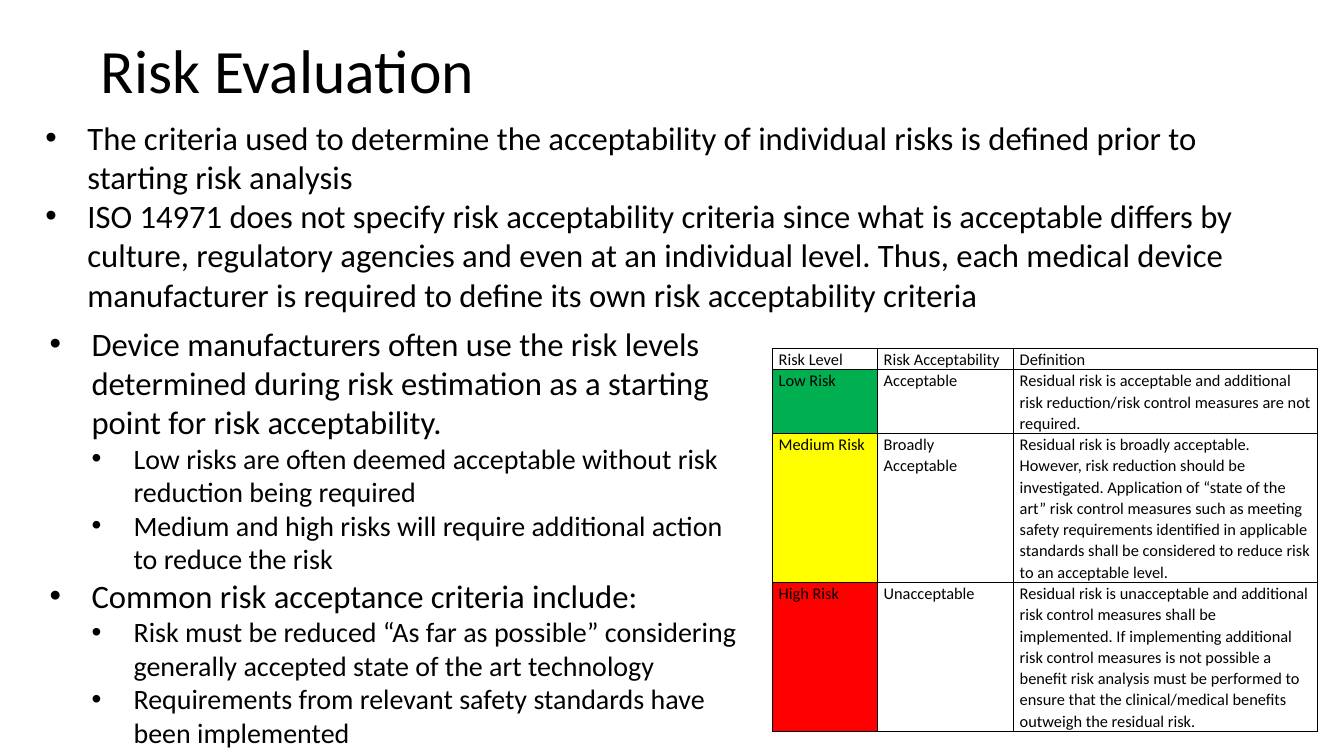
from dataclasses import dataclass

from lxml.etree import SubElement
from pptx import Presentation
from pptx.dml.color import RGBColor
from pptx.enum.text import MSO_ANCHOR, MSO_AUTO_SIZE, PP_ALIGN
from pptx.oxml.ns import qn
from pptx.util import Inches, Pt

COLUMNS, ROWS = 16, 9  # grid cells of one inch
FONT = "Calibri"
COLORS = {"text": "000000", "plain": "FFFFFF", "low": "00B050",
          "medium": "FFFF00", "high": "FF0000"}
LEVEL_SIZES = (28, 24)
TABLE_COLUMNS = (1.25, 1.62, 3.62)
TABLE_ROWS = (0.25, 0.75, 1.75, 1.75)


@dataclass
class Area:
    column: float
    row: float
    columns: float
    rows: float

    def lengths(self) -> tuple:
        return tuple(Inches(n) for n in (self.column, self.row, self.columns, self.rows))


@dataclass
class Bullet:
    text: str
    level: int = 0


@dataclass
class RiskRow:
    level: str
    acceptability: str
    definition: str
    color: str = "plain"


TITLE_AREA = Area(1.1, 0, 13.8, 1.74)
CRITERIA_AREA = Area(0.44, 1.35, 14.83, 2.46)
LEVELS_AREA = Area(0.49, 3.8, 8.46, 5.22)
TABLE_AREA = Area(9.2, 4.15, sum(TABLE_COLUMNS), sum(TABLE_ROWS))

CRITERIA = [
    Bullet("The criteria used to determine the acceptability of individual risks is "
           "defined prior to starting risk analysis"),
    Bullet("ISO 14971 does not specify risk acceptability criteria since what is "
           "acceptable differs by culture, regulatory agencies and even at an individual "
           "level. Thus, each medical device manufacturer is required to define its own "
           "risk acceptability criteria"),
]
LEVELS = [
    Bullet("Device manufacturers often use the risk levels determined during risk "
           "estimation as a starting point for risk acceptability."),
    Bullet("Low risks are often deemed acceptable without risk reduction being required", 1),
    Bullet("Medium and high risks will require additional action to reduce the risk", 1),
    Bullet("Common risk acceptance criteria include:"),
    Bullet("Risk must be reduced “As far as possible” considering generally accepted "
           "state of the art technology", 1),
    Bullet("Requirements from relevant safety standards have been implemented", 1),
]
RISKS = [
    RiskRow("Risk Level", "Risk Acceptability", "Definition"),
    RiskRow("Low Risk", "Acceptable",
            "Residual risk is acceptable and additional risk reduction/risk control "
            "measures are not required.", "low"),
    RiskRow("Medium Risk", "Broadly Acceptable",
            "Residual risk is broadly acceptable. However, risk reduction should be "
            "investigated. Application of “state of the art” risk control measures such "
            "as meeting safety requirements identified in applicable standards shall be "
            "considered to reduce risk to an acceptable level.", "medium"),
    RiskRow("High Risk", "Unacceptable",
            "Residual risk is unacceptable and additional risk control measures shall be "
            "implemented. If implementing additional risk control measures is not possible "
            "a benefit risk analysis must be performed to ensure that the clinical/medical "
            "benefits outweigh the residual risk.", "high"),
]


def rgb(name: str) -> RGBColor:
    return RGBColor.from_string(COLORS[name])


def place(shape, area: Area) -> None:
    shape.left, shape.top, shape.width, shape.height = area.lengths()


def format_runs(paragraph, size: float) -> None:
    for run in paragraph.runs:
        run.font.name = FONT
        run.font.size = Pt(size)
        run.font.color.rgb = rgb("text")


def fill_title(title, text: str) -> None:
    place(title, TITLE_AREA)
    frame = title.text_frame
    frame.text = text
    frame.auto_size = MSO_AUTO_SIZE.NONE
    frame.vertical_anchor = MSO_ANCHOR.MIDDLE
    paragraph = frame.paragraphs[0]
    paragraph.alignment = PP_ALIGN.LEFT
    paragraph.line_spacing = 0.9
    format_runs(paragraph, 52.8)


def fill_list(body, area: Area, bullets: list[Bullet]) -> None:
    place(body, area)
    frame = body.text_frame
    frame.text = "\n".join(bullet.text for bullet in bullets)
    frame.auto_size = MSO_AUTO_SIZE.NONE
    frame.vertical_anchor = MSO_ANCHOR.TOP
    for paragraph, bullet in zip(frame.paragraphs, bullets):
        properties = paragraph._p.get_or_add_pPr()
        properties.set("marL", str(Inches(0.5 * (bullet.level + 1))))
        properties.set("indent", str(-Inches(0.5)))
        SubElement(properties, qn("a:buFont"), typeface="Arial")
        SubElement(properties, qn("a:buChar"), char="•")
        paragraph.level = bullet.level
        paragraph.space_before = Pt(0)
        format_runs(paragraph, LEVEL_SIZES[bullet.level])


def add_borders(cell) -> None:
    properties = cell._tc.get_or_add_tcPr()
    for side in ("lnL", "lnR", "lnT", "lnB"):
        line = SubElement(properties, qn(f"a:{side}"), w=str(Pt(1)))
        fill = SubElement(line, qn("a:solidFill"))
        SubElement(fill, qn("a:srgbClr"), val=COLORS["text"])


def fill_cell(cell, text: str, color: str) -> None:
    add_borders(cell)
    cell.fill.solid()
    cell.fill.fore_color.rgb = rgb(color)
    cell.margin_left = cell.margin_right = Inches(0.07)
    cell.margin_top = cell.margin_bottom = 0
    cell.text_frame.text = text
    paragraph = cell.text_frame.paragraphs[0]
    paragraph.line_spacing = 1.07
    format_runs(paragraph, 14)


def add_risk_table(slide, risks: list[RiskRow]) -> None:
    table = slide.shapes.add_table(len(risks), len(TABLE_COLUMNS),
                                   *TABLE_AREA.lengths()).table
    table.first_row = table.horz_banding = False
    for column, width in zip(table.columns, TABLE_COLUMNS):
        column.width = Inches(width)
    for row, height, risk in zip(table.rows, TABLE_ROWS, risks):
        row.height = Inches(height)
        texts = (risk.level, risk.acceptability, risk.definition)
        for cell, text, color in zip(row.cells, texts, (risk.color, "plain", "plain")):
            fill_cell(cell, text, color)


def main() -> None:
    presentation = Presentation()
    presentation.slide_width = Inches(COLUMNS)
    presentation.slide_height = Inches(ROWS)

    # Title and two lists
    slide = presentation.slides.add_slide(presentation.slide_layouts.get_by_name("Two Content"))
    title, criteria, levels = slide.placeholders
    fill_title(title, "Risk Evaluation")
    fill_list(criteria, CRITERIA_AREA, CRITERIA)
    fill_list(levels, LEVELS_AREA, LEVELS)

    # Risk acceptability table
    add_risk_table(slide, RISKS)
    presentation.save("out.pptx")


if __name__ == "__main__":
    main()
